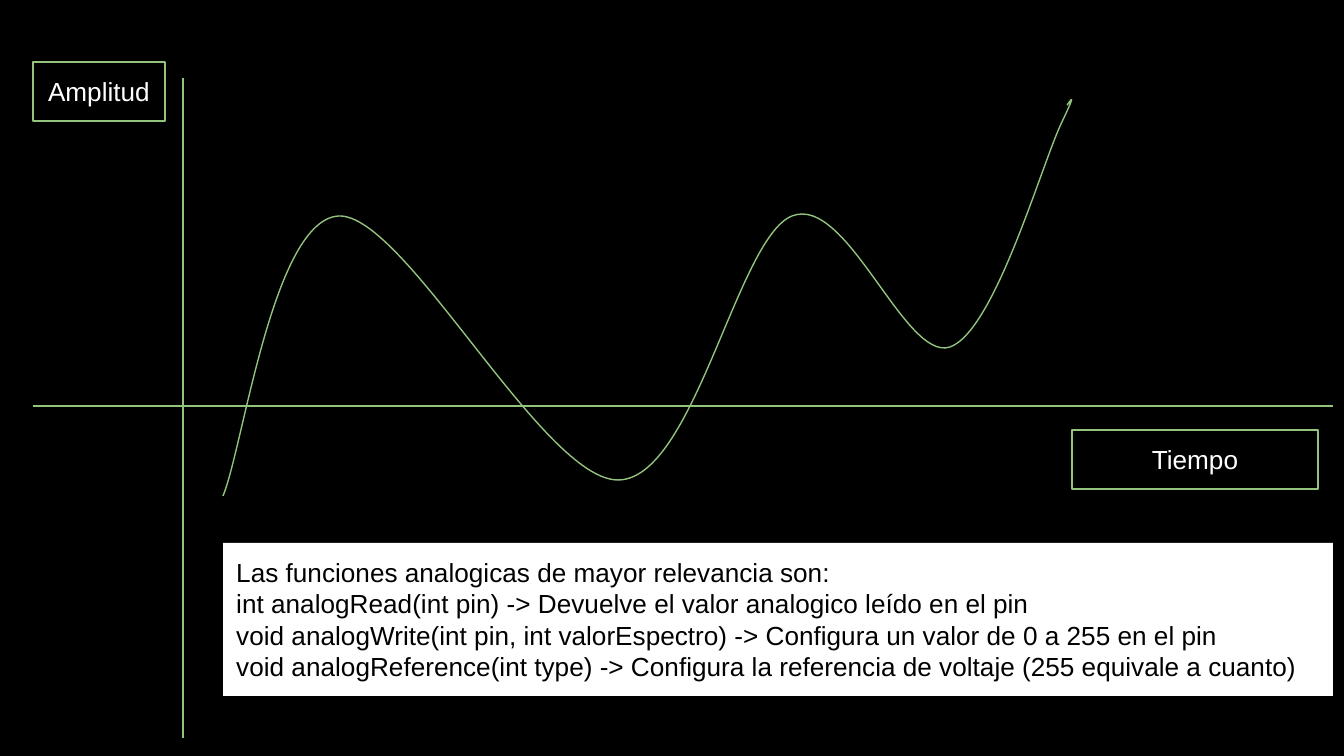
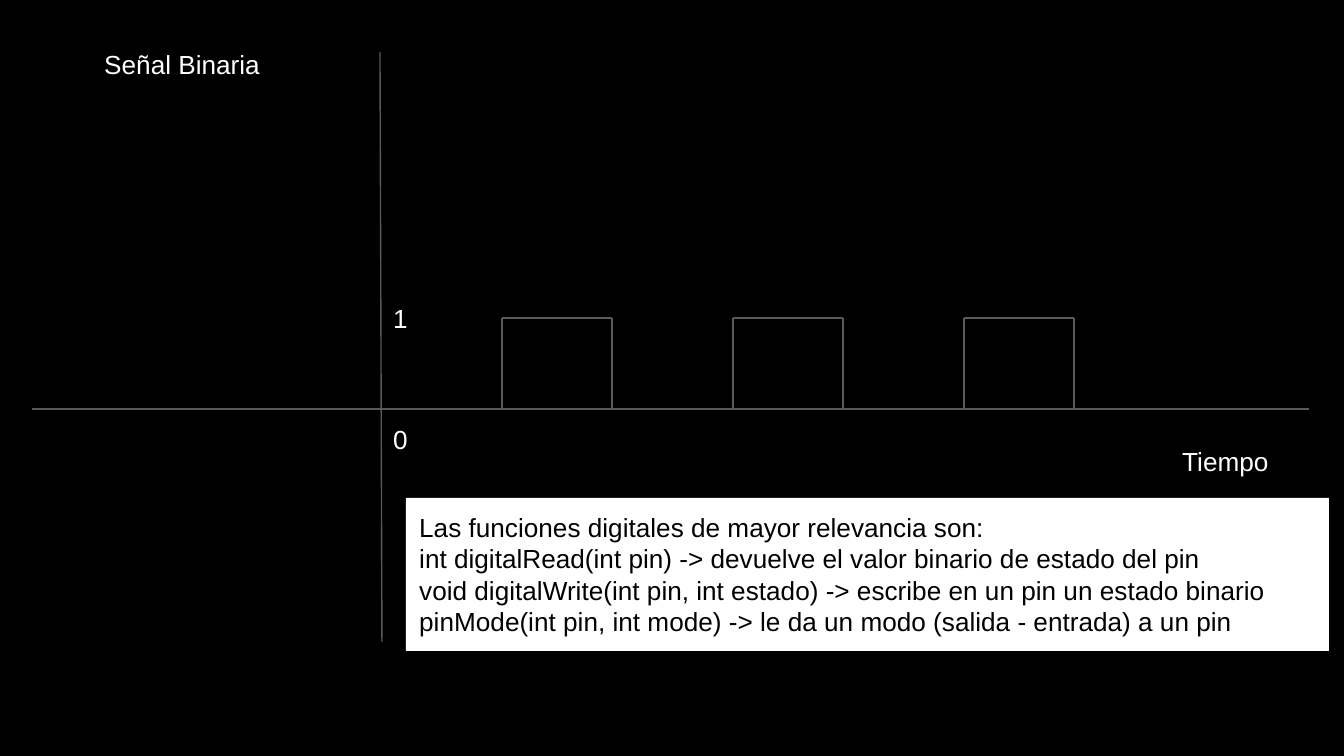
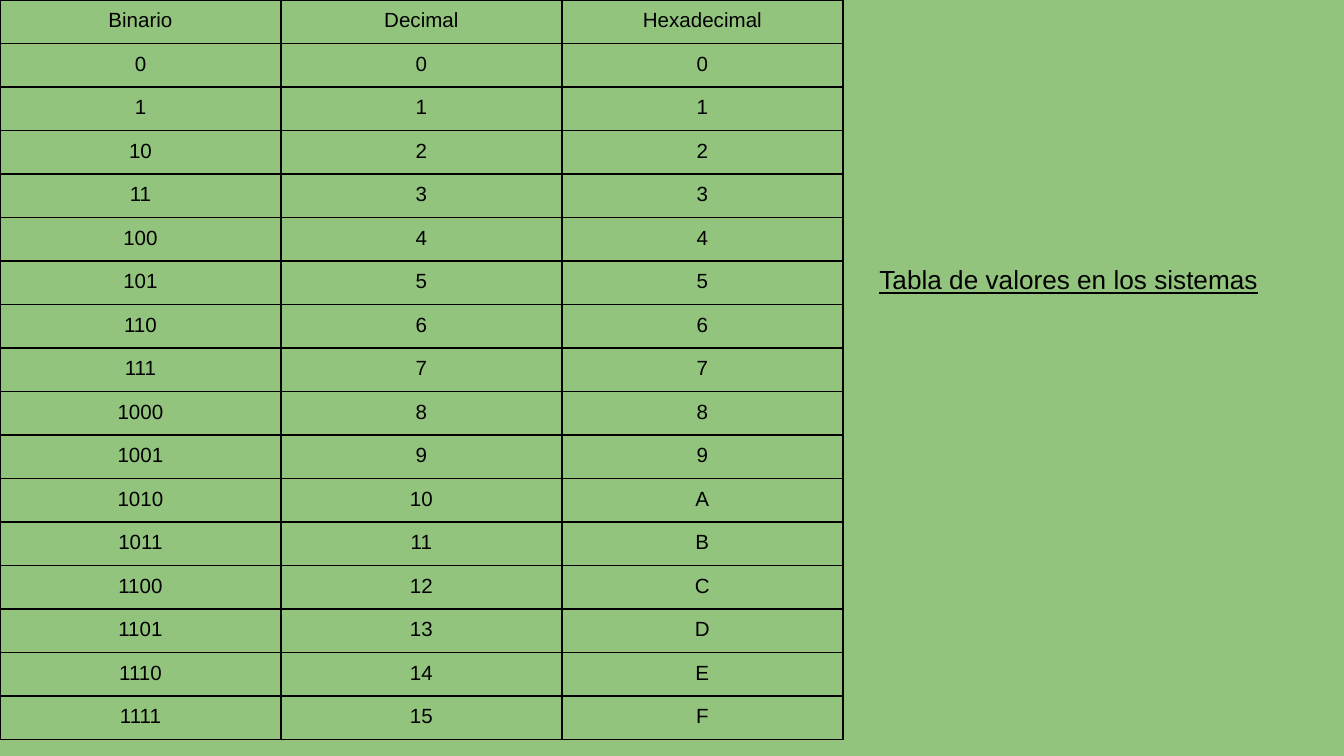
from lxml.etree import SubElement
from pptx import Presentation
from pptx.dml.color import RGBColor
from pptx.enum.shapes import MSO_CONNECTOR, MSO_SHAPE
from pptx.enum.text import MSO_ANCHOR, MSO_AUTO_SIZE, PP_ALIGN
from pptx.oxml import parse_xml
from pptx.oxml.ns import nsdecls, qn
from pptx.util import Pt

# Shared scale, colours and type
PX = 6804  # EMU in one px
BLACK, WHITE, GREEN, GRAY = "000000", "FFFFFF", "93C47D", "595959"
FONT = "Arial"
INSET, CELL_INSET = Pt(7.2), Pt(5)
LABEL_HEIGHT, NOTE_HEIGHT = 59, 153
color = RGBColor.from_string


def add_line(slide, x1, y1, x2, y2, line_color):
    line = slide.shapes.add_connector(
        MSO_CONNECTOR.STRAIGHT, x1 * PX, y1 * PX, x2 * PX, y2 * PX)
    line.line.color.rgb = color(line_color)
    line.line.width = Pt(0.75)
    SubElement(line._element.spPr, qn("a:effectLst"))


def write_text(frame, margins, text, text_color, size=14, align=PP_ALIGN.LEFT, inset=INSET):
    frame.text = text
    margins.margin_left = margins.margin_right = inset
    margins.margin_top = margins.margin_bottom = inset
    for paragraph in frame.paragraphs:
        paragraph.alignment = align
        for run in paragraph.runs:
            run.font.name = FONT
            run.font.size = Pt(size)
            run.font.color.rgb = color(text_color)


presentation = Presentation()
presentation.slide_width = 1344 * PX
presentation.slide_height = 756 * PX
title_layout, blank_layout = presentation.slide_layouts[5], presentation.slide_layouts[6]

slides = []
for layout, background in ((blank_layout, BLACK), (blank_layout, BLACK), (title_layout, GREEN)):
    slide = presentation.slides.add_slide(layout)
    slide.background.fill.solid()
    slide.background.fill.fore_color.rgb = color(background)
    slides.append(slide)
analog, digital, number_systems = slides

# Analog signal: axes
add_line(analog, 183, 78, 183, 738, GREEN)
add_line(analog, 33, 406, 1333, 406, GREEN)

# Analog signal: the outline spans the box, then takes its Bézier segments
LEFT, TOP, RIGHT, BOTTOM = 223, 99, 1072, 496
segments = [
    ((243, 449), (273, 219), (339, 216)),
    ((405, 214), (543, 480), (618, 480)),
    ((694, 480), (737, 238), (792, 216)),
    ((847, 194), (905, 362), (950, 347)),
    ((995, 331), (1042, 163), (1062, 122)),
    ((1081, 82), (1066, 108), (1067, 105)),
]
builder = analog.shapes.build_freeform(LEFT, BOTTOM, scale=PX)
builder.add_line_segments([(RIGHT, TOP)], close=False)
curve = builder.convert_to_shape()
outline = next(curve._element.iter(qn("a:path")))
for straight in outline.findall(qn("a:lnTo")):
    outline.remove(straight)
for segment in segments:
    bezier = SubElement(outline, qn("a:cubicBezTo"))
    for x, y in segment:
        SubElement(bezier, qn("a:pt"), x=str(x - LEFT), y=str(y - TOP))
curve.shadow.inherit = False
curve.fill.background()
curve.line.color.rgb = color(GREEN)
curve.line.width = Pt(0.75)

# Digital signal: axes and square pulses
add_line(digital, 380, 52, 382, 642, GRAY)
add_line(digital, 32, 409, 1309, 409, GRAY)
PULSE_WIDTH, PULSE_TOP = 110, 318
for pulse in range(3):
    left = 502 + 231 * pulse
    right = left + PULSE_WIDTH
    add_line(digital, left, 409, left, PULSE_TOP, GRAY)
    add_line(digital, right, PULSE_TOP, left, PULSE_TOP, GRAY)
    add_line(digital, right, 409, right, PULSE_TOP, GRAY)

# Digital signal: labels
for text, left, top, width in (
        ("1", 380, 289, 63), ("0", 380, 410, 63),
        ("Tiempo", 1169, 432, 146), ("Señal Binaria", 91, 35, 259)):
    label = digital.shapes.add_textbox(left * PX, top * PX, width * PX, LABEL_HEIGHT * PX)
    frame = label.text_frame
    write_text(frame, frame, text, WHITE)
    frame.word_wrap = True
    frame.auto_size = MSO_AUTO_SIZE.SHAPE_TO_FIT_TEXT

# Outlined axis names and white notes
analog_note = """Las funciones analogicas de mayor relevancia son:
int analogRead(int pin) -> Devuelve el valor analogico leído en el pin
void analogWrite(int pin, int valorEspectro) -> Configura un valor de 0 a 255 en el pin
void analogReference(int type) -> Configura la referencia de voltaje (255 equivale a cuanto)"""
digital_note = """Las funciones digitales de mayor relevancia son:
int digitalRead(int pin) -> devuelve el valor binario de estado del pin
void digitalWrite(int pin, int estado) -> escribe en un pin un estado binario
pinMode(int pin, int mode) -> le da un modo (salida - entrada) a un pin"""
for slide, text, left, top, width, is_note in (
        (analog, "Tiempo", 1072, 430, 246, False),
        (analog, "Amplitud", 33, 62, 132, False),
        (analog, analog_note, 223, 543, 1110, True),
        (digital, digital_note, 406, 498, 923, True)):
    height = NOTE_HEIGHT if is_note else LABEL_HEIGHT
    box = slide.shapes.add_shape(
        MSO_SHAPE.RECTANGLE, left * PX, top * PX, width * PX, height * PX)
    box.shadow.inherit = False
    frame = box.text_frame
    if is_note:
        box.fill.solid()
        box.fill.fore_color.rgb = color(WHITE)
        box.line.fill.background()
        write_text(frame, frame, text, BLACK)
    else:
        box.fill.background()
        box.line.color.rgb = color(GREEN)
        box.line.width = Pt(0.75)
        write_text(frame, frame, text, WHITE, align=PP_ALIGN.CENTER)
    frame.word_wrap = True
    frame.vertical_anchor = MSO_ANCHOR.TOP
    frame.auto_size = MSO_AUTO_SIZE.SHAPE_TO_FIT_TEXT

# Number systems: table of the values 0 to 15
rows = [("Binario", "Decimal", "Hexadecimal")]
rows += [(f"{number:b}", str(number), f"{number:X}") for number in range(16)]
table = number_systems.shapes.add_table(
    len(rows), 3, 0, 0, 843 * PX, 740 * PX).table
table.first_row = table.horz_banding = False
for row_index, row in enumerate(rows):
    for column_index, value in enumerate(row):
        cell = table.cell(row_index, column_index)
        write_text(cell.text_frame, cell, value, BLACK, 11, PP_ALIGN.CENTER, CELL_INSET)
        properties = cell._tc.get_or_add_tcPr()
        for side in ("lnL", "lnR", "lnT", "lnB"):
            properties.append(parse_xml(
                f'<a:{side} {nsdecls("a")} w="{Pt(1)}"><a:solidFill>'
                f'<a:srgbClr val="{BLACK}"/></a:solidFill></a:{side}>'))
        cell.fill.background()

# Number systems: title
title = number_systems.shapes.title
title.left, title.top, title.width, title.height = 866 * PX, 252 * PX, 441 * PX, 55 * PX
frame = title.text_frame
write_text(frame, frame, "Tabla de valores en los sistemas", BLACK, align=PP_ALIGN.JUSTIFY)
frame.paragraphs[0].runs[0].font.underline = True
frame.vertical_anchor = MSO_ANCHOR.MIDDLE
frame.word_wrap = True
frame.auto_size = MSO_AUTO_SIZE.NONE

presentation.save("out.pptx")
